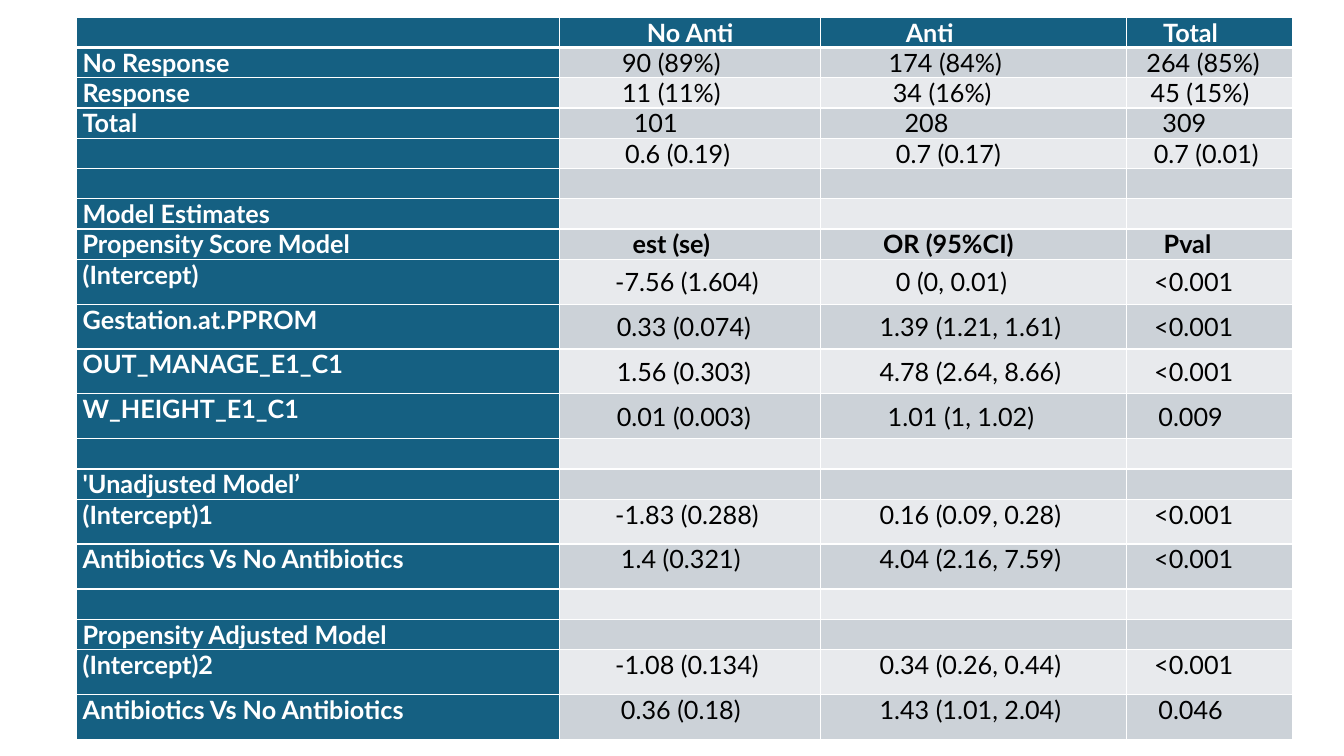
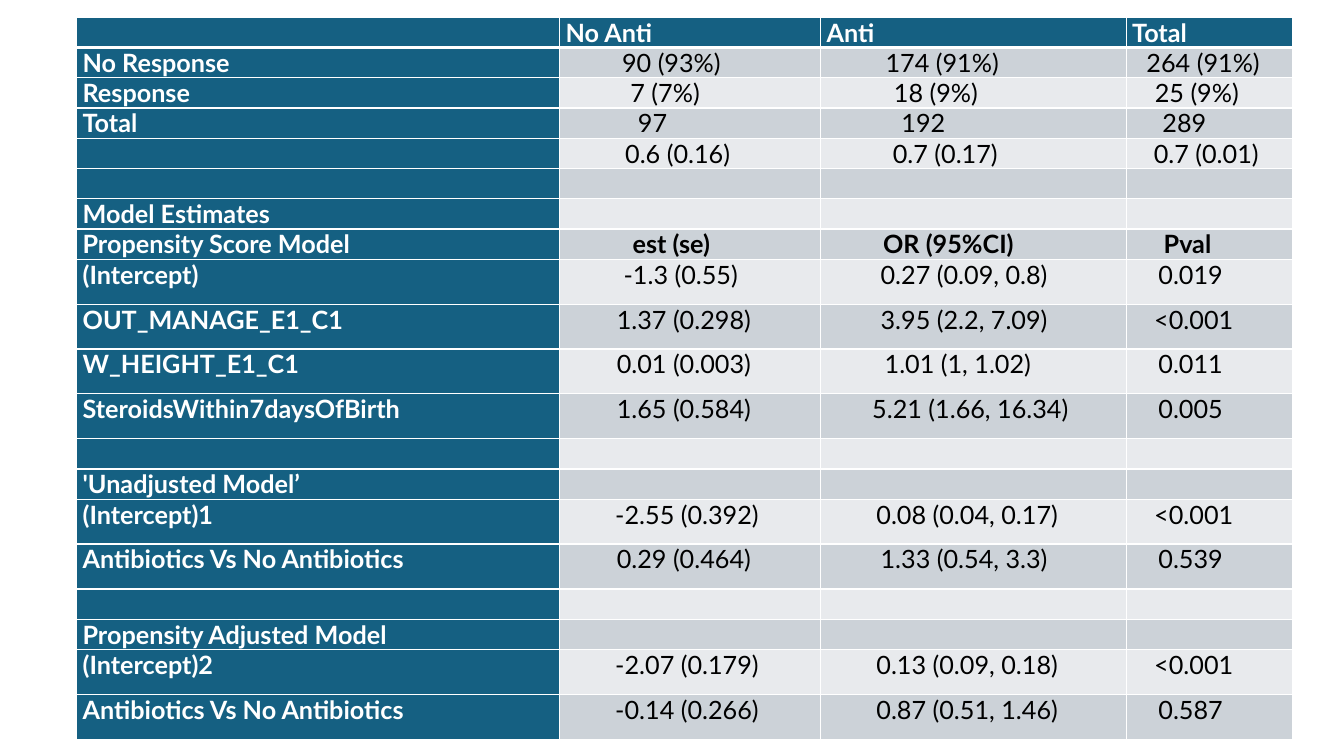
from lxml.etree import SubElement
from pptx import Presentation
from pptx.dml.color import RGBColor
from pptx.enum.text import MSO_ANCHOR, PP_ALIGN
from pptx.oxml.ns import qn
from pptx.util import Inches, Pt

# Shared style
TEAL = RGBColor(0x15, 0x60, 0x82)
GREY = RGBColor(0xCC, 0xD2, 0xD8)
PALE = RGBColor(0xE8, 0xEA, 0xED)
WHITE = RGBColor(0xFF, 0xFF, 0xFF)
BLACK = RGBColor(0x00, 0x00, 0x00)
FONT = "Lato"
TEXT_SIZE = Pt(18)
INSET = 0.06
CHARACTER = 0.062  # inches of right margin per character short of the field

# Shared grid
TABLE_LEFT, TABLE_TOP, TABLE_HEIGHT = 0.76, 0.17, 7.16
COLUMN_WIDTHS = (4.79, 2.59, 3.03, 1.65)
ROW_COUNT = 20
SHORT_ROW = 0.3
TALL_ROWS = (8, 9, 10, 11, 14, 15, 18, 19)
TALL_ROW = (TABLE_HEIGHT - SHORT_ROW * (ROW_COUNT - len(TALL_ROWS))) / len(TALL_ROWS)
PREDICTOR_ROWS = range(8, 12)
ESTIMATE_HEADING_ROW = 7
HEADING_FIELDS = (14, 18, 11)

# Rows that both tables have in common
HEADER = ("", "No Anti", "Anti", "Total")
EMPTY = ("", "", "", "")
ESTIMATES = ("Propensity Score Model", "est (se)", "OR (95%CI)", "Pval")
TREATMENT = "Antibiotics Vs No Antibiotics"

# Contents of the two tables
TABLES = [
    {
        "header_centered": True,
        "predictor_anchor": MSO_ANCHOR.MIDDLE,
        "fields": (14, 18, 11),
        "counts": [
            ("No Response", "90 (89%)", "174 (84%)", "264 (85%)"),
            ("Response", "11 (11%)", "34 (16%)", "45 (15%)"),
            ("Total", "101", "208", "309"),
            ("", "0.6 (0.19)", "0.7 (0.17)", "0.7 (0.01)"),
        ],
        "predictors": [
            ("(Intercept)", "-7.56 (1.604)", "0 (0, 0.01)", "<0.001"),
            ("Gestation.at.PPROM", "0.33 (0.074)", "1.39 (1.21, 1.61)", "<0.001"),
            ("OUT_MANAGE_E1_C1", "1.56 (0.303)", "4.78 (2.64, 8.66)", "<0.001"),
            ("W_HEIGHT_E1_C1", "0.01 (0.003)", "1.01 (1, 1.02)", "0.009"),
        ],
        "unadjusted": [
            ("(Intercept)1", "-1.83 (0.288)", "0.16 (0.09, 0.28)", "<0.001"),
            (TREATMENT, "1.4 (0.321)", "4.04 (2.16, 7.59)", "<0.001"),
        ],
        "adjusted": [
            ("(Intercept)2", "-1.08 (0.134)", "0.34 (0.26, 0.44)", "<0.001"),
            (TREATMENT, "0.36 (0.18)", "1.43 (1.01, 2.04)", "0.046"),
        ],
    },
    {
        "header_centered": False,
        "predictor_anchor": MSO_ANCHOR.TOP,
        "fields": (14, 19, 11),
        "counts": [
            ("No Response", "90 (93%)", "174 (91%)", "264 (91%)"),
            ("Response", "7 (7%)", "18 (9%)", "25 (9%)"),
            ("Total", "97", "192", "289"),
            ("", "0.6 (0.16)", "0.7 (0.17)", "0.7 (0.01)"),
        ],
        "predictors": [
            ("(Intercept)", "-1.3 (0.55)", "0.27 (0.09, 0.8)", "0.019"),
            ("OUT_MANAGE_E1_C1", "1.37 (0.298)", "3.95 (2.2, 7.09)", "<0.001"),
            ("W_HEIGHT_E1_C1", "0.01 (0.003)", "1.01 (1, 1.02)", "0.011"),
            ("SteroidsWithin7daysOfBirth", "1.65 (0.584)", "5.21 (1.66, 16.34)", "0.005"),
        ],
        "unadjusted": [
            ("(Intercept)1", "-2.55 (0.392)", "0.08 (0.04, 0.17)", "<0.001"),
            (TREATMENT, "0.29 (0.464)", "1.33 (0.54, 3.3)", "0.539"),
        ],
        "adjusted": [
            ("(Intercept)2", "-2.07 (0.179)", "0.13 (0.09, 0.18)", "<0.001"),
            (TREATMENT, "-0.14 (0.266)", "0.87 (0.51, 1.46)", "0.587"),
        ],
    },
]


def write_cell(cell, text, *, color=BLACK, bold=False, centered=False,
               anchor=MSO_ANCHOR.TOP, right_gap=0):
    cell.margin_left = Inches(INSET)
    cell.margin_right = Inches(INSET + right_gap)
    cell.margin_top = cell.margin_bottom = 0
    cell.vertical_anchor = anchor
    paragraph = cell.text_frame.paragraphs[0]
    if not text:
        # Keeps an empty cell from stretching its row
        SubElement(paragraph._p, qn("a:endParaRPr"), sz="1200")
        return
    paragraph.alignment = PP_ALIGN.CENTER if centered else PP_ALIGN.LEFT
    run = paragraph.add_run()
    run.text = text
    run.font.name = FONT
    run.font.size = TEXT_SIZE
    run.font.bold = bold
    run.font.color.rgb = color


def paint_cell(cell, fill, top=1, bottom=1):
    properties = cell._tc.get_or_add_tcPr()
    for side, points in (("L", 1), ("R", 1), ("T", top), ("B", bottom)):
        line = SubElement(properties, qn(f"a:ln{side}"), w=str(Pt(points)))
        line_fill = SubElement(line, qn("a:solidFill"))
        SubElement(line_fill, qn("a:srgbClr"), val=str(WHITE))
    cell.fill.solid()
    cell.fill.fore_color.rgb = fill


presentation = Presentation()
presentation.slide_width = Inches(13.33)
presentation.slide_height = Inches(7.5)
blank_layout = presentation.slide_layouts[6]

for content in TABLES:
    # Table frame
    slide = presentation.slides.add_slide(blank_layout)
    shape = slide.shapes.add_table(
        ROW_COUNT, len(COLUMN_WIDTHS), Inches(TABLE_LEFT), Inches(TABLE_TOP),
        Inches(sum(COLUMN_WIDTHS)), Inches(TABLE_HEIGHT))
    table = shape.table
    table.horz_banding = False
    for column, width in zip(table.columns, COLUMN_WIDTHS):
        column.width = Inches(width)
    for index, row in enumerate(table.rows):
        row.height = Inches(TALL_ROW if index in TALL_ROWS else SHORT_ROW)

    # Table rows in reading order
    rows = [
        HEADER, *content["counts"], EMPTY,
        ("Model Estimates", "", "", ""), ESTIMATES, *content["predictors"], EMPTY,
        ("'Unadjusted Model’", "", "", ""), *content["unadjusted"], EMPTY,
        ("Propensity Adjusted Model", "", "", ""), *content["adjusted"],
    ]

    for row_index, texts in enumerate(rows):
        is_header = row_index == 0
        is_heading = row_index == ESTIMATE_HEADING_ROW
        fields = HEADING_FIELDS if is_header or is_heading else content["fields"]
        anchor = MSO_ANCHOR.MIDDLE if is_heading else MSO_ANCHOR.TOP
        if row_index in PREDICTOR_ROWS:
            anchor = content["predictor_anchor"]

        for column_index, text in enumerate(texts):
            cell = table.cell(row_index, column_index)
            is_label = column_index == 0
            band = GREY if row_index % 2 else PALE
            paint_cell(cell, TEAL if is_header or is_label else band,
                       top=3 if row_index == 1 else 1,
                       bottom=3 if is_header else 1)

            if is_label:
                write_cell(cell, text, color=WHITE, bold=True)
                continue
            centered = content["header_centered"] or not is_header
            # Short values sit further left; the first header stays in the middle
            fills_field = not centered or (is_header and column_index == 1)
            missing = 0 if fills_field else fields[column_index - 1] - len(text)
            write_cell(cell, text, color=WHITE if is_header else BLACK,
                       bold=is_header or is_heading, centered=centered,
                       anchor=anchor, right_gap=CHARACTER * missing)

presentation.save("out.pptx")
